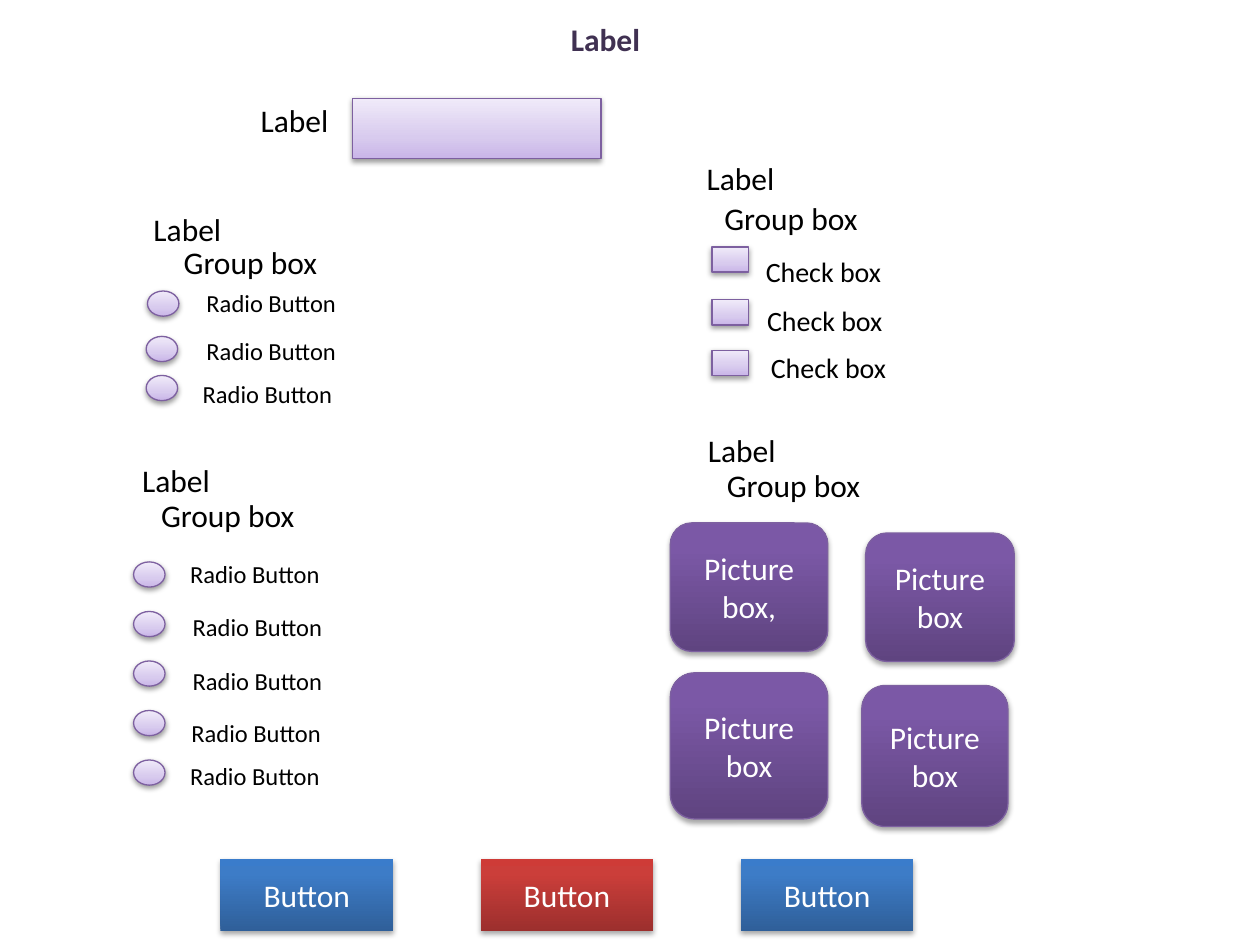
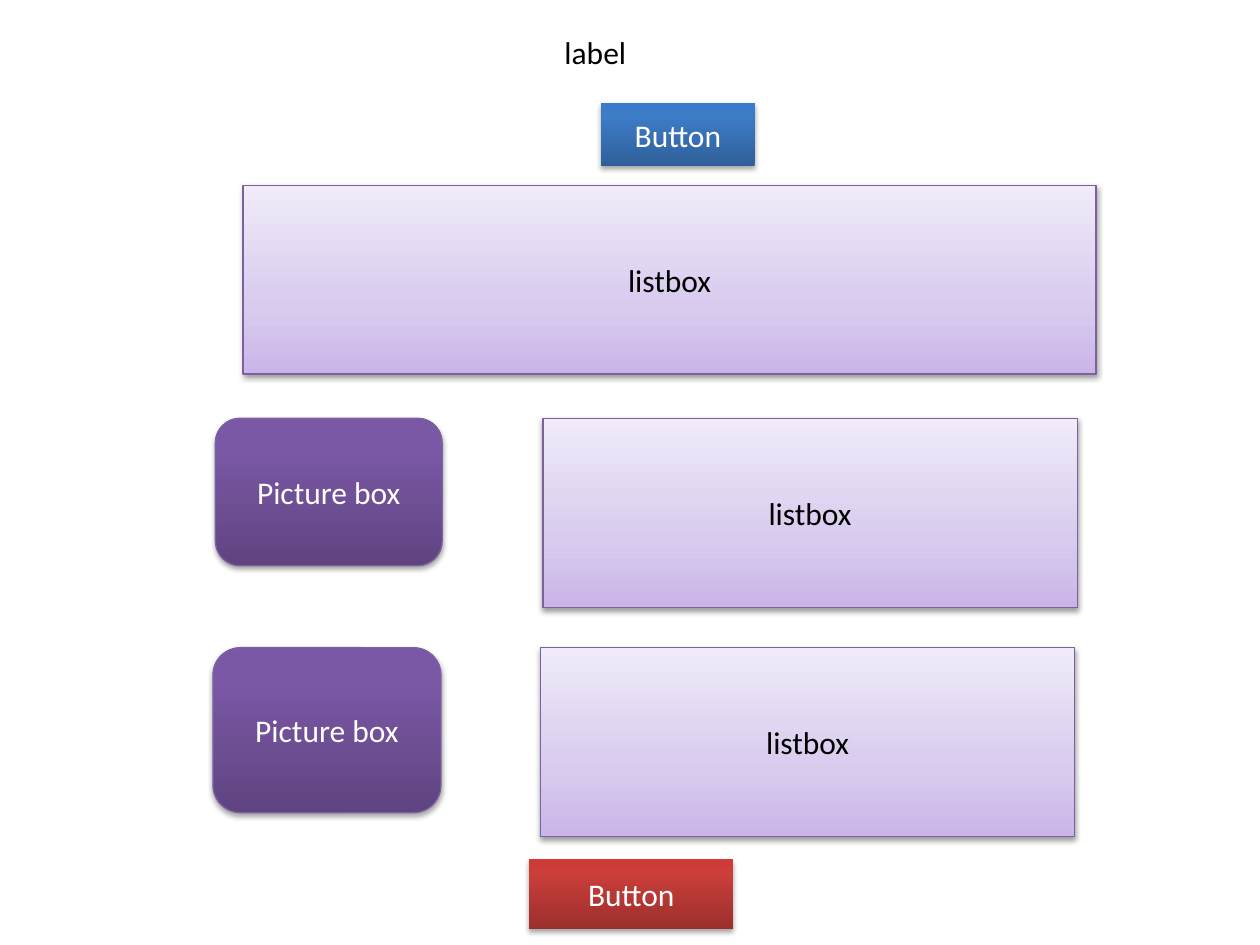
"""Build two form wireframes from labels, options, boxes and buttons on a 100 by 75 grid."""
from lxml import etree
from pptx import Presentation
from pptx.dml.color import RGBColor
from pptx.enum.shapes import MSO_SHAPE
from pptx.enum.text import MSO_ANCHOR, MSO_AUTO_SIZE, PP_ALIGN
from pptx.oxml.ns import qn
from pptx.util import Inches, Pt

RECTANGLE = MSO_SHAPE.RECTANGLE
ROUNDED = MSO_SHAPE.ROUNDED_RECTANGLE
OVAL = MSO_SHAPE.OVAL
MIDDLE = MSO_ANCHOR.MIDDLE
GROW = MSO_AUTO_SIZE.SHAPE_TO_FIT_TEXT
LEFT, CENTER = PP_ALIGN.LEFT, PP_ALIGN.CENTER

COLUMNS, ROWS = 100, 75
CELL = Inches(0.1)
FONT = "Calibri"
COLORS = {"text": "000000", "light": "FFFFFF", "title": "403152",
          "outline": "7D60A0", "shadow": "000000"}
GRADIENTS = {
    "field": ((0, "C9B5E8"), (35, "D8CBEE"), (100, "F0EAF9")),
    "picture": ((0, "5F4480"), (80, "7B58A6"), (100, "7C57A8")),
    "blue": ((0, "2F5F99"), (80, "3D7CC7"), (100, "3A7CCB")),
    "red": ((0, "9C2F2D"), (80, "CB3E3A"), (100, "CE3B37")),
}
LABEL_ROWS = {14: 3.4, 16: 3.7, 18: 4}


def grid(*cells):
    """Turn grid cells into slide lengths."""
    return [round(cell * CELL) for cell in cells]


def add_color(parent, color):
    """Append a colour element to a gradient stop or shadow."""
    return etree.SubElement(parent, qn("a:srgbClr"), val=color)


def fill_gradient(shape, stops):
    """Fill a shape with a gradient that runs from bottom to top."""
    shape.fill.gradient()
    shape.fill.gradient_angle = 90
    stop_list = shape.element.spPr.find(qn("a:gradFill")).find(qn("a:gsLst"))
    for stop in list(stop_list):
        stop_list.remove(stop)
    for percent, color in stops:
        stop = etree.SubElement(stop_list, qn("a:gs"), pos=str(percent * 1000))
        add_color(stop, color)


def add_shadow(shape, distance, opacity):
    """Give a shape a soft shadow below it."""
    shape.shadow.inherit = False
    effects = shape.element.spPr.find(qn("a:effectLst"))
    shadow = etree.SubElement(effects, qn("a:outerShdw"), blurRad=str(Pt(3.1)),
                              dist=str(Pt(distance)), dir="5400000", rotWithShape="0")
    color = add_color(shadow, COLORS["shadow"])
    etree.SubElement(color, qn("a:alpha"), val=str(opacity * 1000))


def write(shape, text, size, color, align, bold=False):
    """Write one paragraph into a shape."""
    shape.text_frame.word_wrap = True
    paragraph = shape.text_frame.paragraphs[0]
    paragraph.text = text
    paragraph.alignment = align
    font = paragraph.font
    font.name, font.size, font.bold = FONT, Pt(size), bold
    font.color.rgb = RGBColor.from_string(COLORS[color])


def add_box(slide, kind, style, place, text=""):
    """Add a gradient box with a shadow and optional centred text."""
    shape = slide.shapes.add_shape(kind, *grid(*place))
    fill_gradient(shape, GRADIENTS[style])
    if style in ("field", "picture"):
        shape.line.color.rgb = RGBColor.from_string(COLORS["outline"])
        shape.line.width = Pt(0.75)
    else:
        shape.line.fill.background()
    is_field = style == "field"
    add_shadow(shape, *((1.6, 38) if is_field else (1.8, 35)))
    if text:
        shape.text_frame.vertical_anchor = MIDDLE
        write(shape, text, 18, "text" if is_field else "light", CENTER)


def add_label(slide, text, left, top, width, size=18, color="text", align=LEFT, bold=False):
    """Add a text label whose height follows its font size."""
    box = slide.shapes.add_textbox(*grid(left, top, width, LABEL_ROWS[size]))
    write(box, text, size, color, align, bold)
    box.text_frame.auto_size = GROW


def add_radio(slide, marker, label):
    """Add a radio button: an oval marker and its label."""
    add_box(slide, OVAL, "field", (*marker, 2.5, 2))
    add_label(slide, "Radio Button", *label, 18.1, size=14)


def add_check(slide, marker, label):
    """Add a check box: a square marker and its label."""
    add_box(slide, RECTANGLE, "field", (*marker, 2.9, 2))
    add_label(slide, "Check box", *label, 15, size=16)


def add_group_heading(slide, label, group):
    """Add the label of a group and the group box caption below it."""
    add_label(slide, "Label", *label)
    add_label(slide, "Group box", *group)


def build_options_form(slide):
    """Build the form with radio buttons, check boxes and picture boxes."""
    add_label(slide, "Label", 38.1, 1.1, 19.9, color="title", align=CENTER, bold=True)
    add_label(slide, "Label", 19.7, 7.5, 8.8)
    add_box(slide, RECTANGLE, "field", (28, 7.8, 19.7, 4.8))

    add_group_heading(slide, (11.2, 16.2, 10), (13.6, 18.8, 17.6))
    for marker, label in (((11.7, 23.1), (15.4, 22.4)), ((11.6, 26.7), (15.4, 26.2)),
                          ((11.6, 29.8), (15.1, 29.6))):
        add_radio(slide, marker, label)

    add_group_heading(slide, (10.3, 36.1, 9.7), (11.8, 38.9, 17.7))
    labels = ((14.1, 43.9), (14.3, 48.1), (14.3, 52.4), (14.2, 56.5), (14.1, 59.9))
    for index, label in enumerate(labels):
        add_radio(slide, (10.6, 44.6 + 3.93 * index), label)

    add_group_heading(slide, (55.1, 12.1, 8.7), (56.5, 15.3, 16.4))
    for top, label in ((19.6, (59.8, 19.7)), (23.8, (59.9, 23.6)), (27.8, (60.2, 27.3))):
        add_check(slide, (56.5, top), label)

    add_group_heading(slide, (55.2, 33.7, 9.1), (56.7, 36.5, 15.3))
    for place, text in (((53.2, 41.5, 12.5, 10.2), "Picture box,"),
                        ((68.7, 42.3, 11.8, 10.2), "Picture box"),
                        ((53.2, 53.4, 12.5, 11.6), "Picture box"),
                        ((68.4, 54.4, 11.6, 11.2), "Picture box")):
        add_box(slide, ROUNDED, "picture", place, text)

    for index, style in enumerate(("blue", "red", "blue")):
        add_box(slide, RECTANGLE, style, (17.5 + 20.65 * index, 68.2, 13.7, 5.7), "Button")


def build_list_form(slide):
    """Build the form with list boxes and picture boxes."""
    add_label(slide, "label", 39, 2.1, 16.5, align=CENTER)
    add_box(slide, RECTANGLE, "blue", (47.7, 8.2, 12.2, 5), "Button")
    for left, top, width in ((19.3, 14.7, 67.7), (43.1, 33.2, 42.4), (42.9, 51.4, 42.4)):
        add_box(slide, RECTANGLE, "field", (left, top, width, 15), "listbox")
    for place in ((17.1, 33.2, 18, 11.7), (16.9, 51.4, 18.1, 13.1)):
        add_box(slide, ROUNDED, "picture", place, "Picture box")
    add_box(slide, RECTANGLE, "red", (42, 68.2, 16.2, 5.5), "Button")


def main():
    """Create the presentation and save it."""
    presentation = Presentation()
    presentation.slide_width, presentation.slide_height = grid(COLUMNS, ROWS)
    blank = presentation.slide_layouts[6]
    for build in (build_options_form, build_list_form):
        build(presentation.slides.add_slide(blank))
    presentation.save("out.pptx")


if __name__ == "__main__":
    main()
